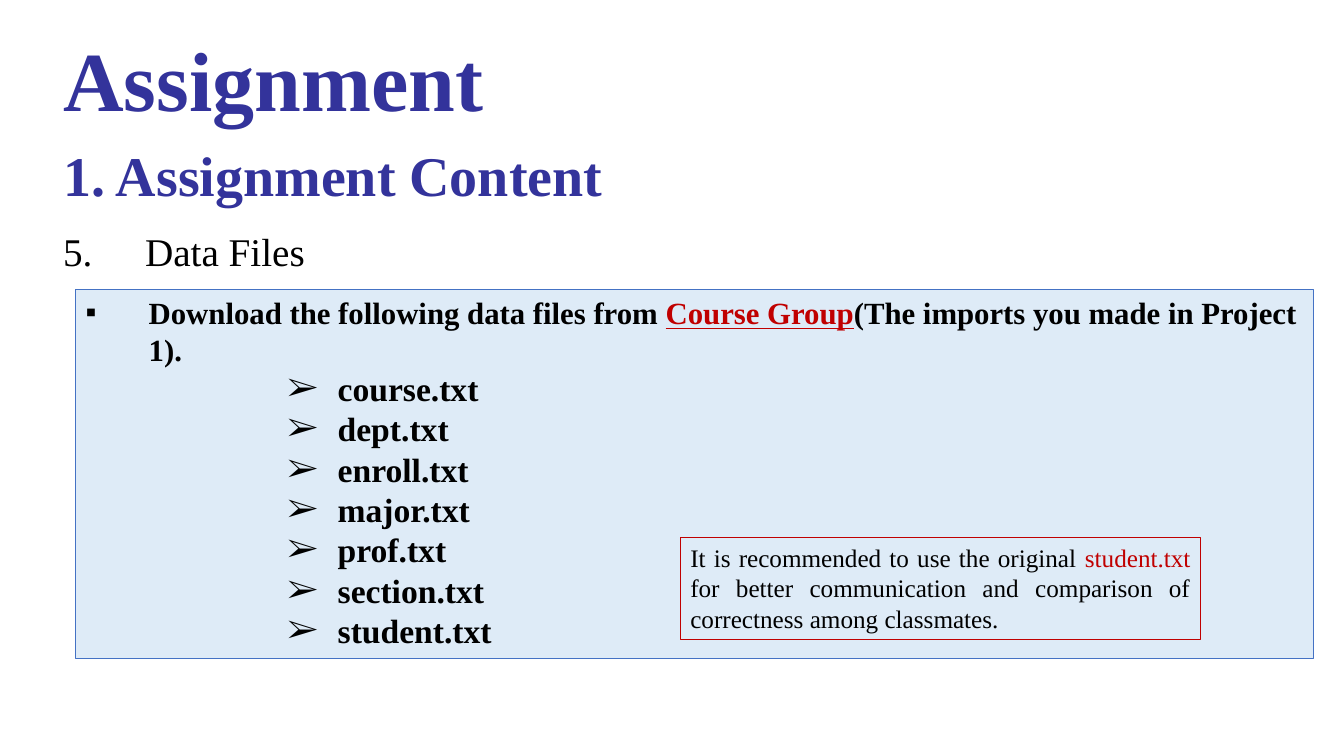
from lxml import etree
from pptx import Presentation
from pptx.dml.color import RGBColor
from pptx.enum import shapes, text
from pptx.oxml.ns import qn
from pptx.util import Pt

FONT = "Times New Roman"
INDIGO = RGBColor(0x33, 0x33, 0x9B)
BLACK = RGBColor(0, 0, 0)
RED = RGBColor(0xC0, 0, 0)
BLUE = RGBColor(0x44, 0x72, 0xC4)
PALE_BLUE = RGBColor(0xDE, 0xEB, 0xF7)

DATA_FILES = ("course", "dept", "enroll", "major", "prof", "section", "student")


def place(shape, box):
    """Move a shape to (left, top, width, height) in points and set up its text frame."""
    shape.left, shape.top, shape.width, shape.height = map(Pt, box)
    frame = shape.text_frame
    frame.word_wrap = True
    frame.auto_size = text.MSO_AUTO_SIZE.NONE
    frame.vertical_anchor = text.MSO_ANCHOR.TOP
    return frame


def outline(shape, color):
    shape.line.color.rgb = color
    shape.line.width = Pt(0.75)


def set_bullet(paragraph, margin, hanging, character=None, start=None):
    """Hang a bullet character, or a number counted from start, before the text."""
    properties = paragraph._p.get_or_add_pPr()
    properties.set("marL", str(Pt(margin)))
    properties.set("indent", str(-Pt(hanging)))
    if character:
        etree.SubElement(properties, qn("a:buFont"), typeface=FONT)
        etree.SubElement(properties, qn("a:buChar"), char=character)
    else:
        etree.SubElement(properties, qn("a:buFont"), typeface="+mj-lt")
        etree.SubElement(properties, qn("a:buAutoNum"), type="arabicPeriod", startAt=str(start))


def write(paragraph, words, size, color=BLACK, bold=False, underline=False,
          align=text.PP_ALIGN.LEFT):
    """Append a formatted run to a paragraph."""
    paragraph.alignment = align
    paragraph.space_before = Pt(0)
    run = paragraph.add_run()
    run.text = words
    font = run.font
    font.name, font.size, font.bold, font.underline = FONT, Pt(size), bold, underline
    font.color.rgb = color


def add_headings(slide, left, top):
    title = place(slide.shapes.title, (left, top, 617, 80))
    write(title.paragraphs[0], "Assignment", 60, color=INDIGO, bold=True)

    box = (left, top + 80.5, 404, 55.5)
    subtitle = place(slide.shapes.add_textbox(0, 0, 0, 0), box)
    write(subtitle.paragraphs[0], "1. Assignment Content", 40, color=INDIGO, bold=True)

    box = (left, top + 143, 900, 41)
    section = place(slide.shapes.add_textbox(0, 0, 0, 0), box).paragraphs[0]
    set_bullet(section, 58.5, 58.5, start=5)
    write(section, "Data Files", 28, align=text.PP_ALIGN.JUSTIFY)


def add_file_panel(slide, box):
    panel = slide.placeholders[1]
    frame = place(panel, box)
    panel.fill.solid()
    panel.fill.fore_color.rgb = PALE_BLUE
    outline(panel, BLUE)

    task = frame.paragraphs[0]
    set_bullet(task, 45, 45, character="▪")
    write(task, "Download the following data files from ", 22, bold=True)
    write(task, "Course Group", 22, color=RED, bold=True, underline=True)
    write(task, "(The imports you made in Project 1).", 22, bold=True)

    for name in DATA_FILES:
        item = frame.add_paragraph()
        item.level = 4
        set_bullet(item, 180, 36, character="➢")
        write(item, f"{name}.txt", 24, bold=True)


def add_note(slide, box):
    note = slide.shapes.add_shape(shapes.MSO_SHAPE.RECTANGLE, 0, 0, 0, 0)
    note.shadow.inherit = False
    note.fill.background()
    outline(note, RED)
    advice = place(note, box).paragraphs[0]
    for words, color in (
        ("It is recommended to use the original ", BLACK),
        ("student.txt ", RED),
        ("for better communication and comparison of correctness among classmates.", BLACK),
    ):
        write(advice, words, 18, color=color, align=text.PP_ALIGN.JUSTIFY)


def main():
    presentation = Presentation()
    presentation.slide_width, presentation.slide_height = Pt(960), Pt(540)
    slide = presentation.slides.add_slide(presentation.slide_layouts[1])
    add_headings(slide, 38, 16)
    add_file_panel(slide, (54, 206.5, 884, 264))
    add_note(slide, (486, 384, 371.5, 72.5))
    presentation.save("out.pptx")


if __name__ == "__main__":
    main()
